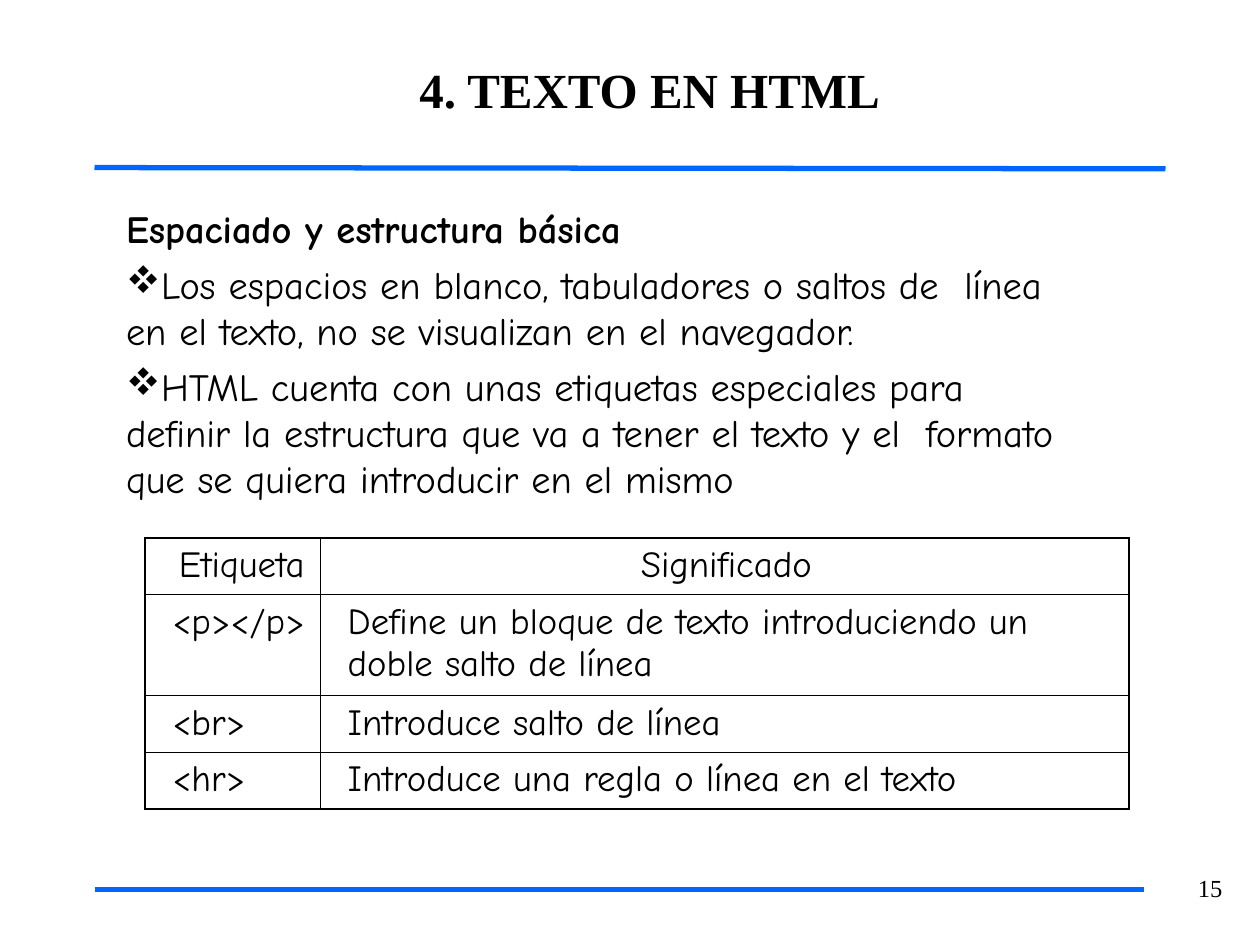
"""Build the slide on text spacing and basic structure in HTML."""
import pptx
import pptx.dml.color
import pptx.enum.shapes
import pptx.enum.text
import pptx.oxml
import pptx.oxml.ns
import pptx.util
from lxml import etree
from pptx.util import Inches

BLACK = pptx.dml.color.RGBColor(0x00, 0x00, 0x00)
BLUE = pptx.dml.color.RGBColor(0x00, 0x66, 0xFF)
ALIGN = pptx.enum.text.PP_ALIGN
qn = pptx.oxml.ns.qn


def write(para, text, name, size, bold=False, align=ALIGN.LEFT):
    para.alignment = align
    span = para.add_run()
    span.text = text
    formats = {"name": name, "size": pptx.util.Pt(size), "bold": bold}
    for key, value in formats.items():
        setattr(span.font, key, value)
    span.font.color.rgb = BLACK


def set_frame(frame, **margins):
    formats = {"word_wrap": True, "vertical_anchor": pptx.enum.text.MSO_ANCHOR.TOP,
               "auto_size": pptx.enum.text.MSO_AUTO_SIZE.SHAPE_TO_FIT_TEXT}
    for key, value in formats.items():
        setattr(frame, key, value)
    for key, value in margins.items():
        setattr(frame, "margin_" + key, Inches(value))


deck = pptx.Presentation()
deck.slide_width, deck.slide_height = Inches(10), Inches(7.5)
page = deck.slides.add_slide(deck.slide_layouts[5])

rules = [(0.75, 1.33, 9.25, 1.34), (0.75, 7.06, 8.92, 7.06), (0.92, 7.06, 9.08, 7.06)]
for ends in rules:
    rule = page.shapes.add_connector(
        pptx.enum.shapes.MSO_CONNECTOR.STRAIGHT, *[Inches(end) for end in ends])
    rule.line.color.rgb = BLUE
    rule.line.width = pptx.util.Pt(3)
    etree.SubElement(rule._element.spPr, qn("a:effectLst"))

title = page.shapes.title
title_place = {"left": 0.43, "top": 0.42, "width": 9.45, "height": 0.57}
for key, value in title_place.items():
    setattr(title, key, Inches(value))
set_frame(title.text_frame, left=0.1, top=0.05, right=0.1, bottom=0.05)
write(title.text_frame.paragraphs[0], "4. TEXTO EN HTML", "Times New Roman", 28, True, ALIGN.CENTER)

number = page.shapes.add_textbox(Inches(9.36), Inches(6.9), Inches(0.44), Inches(0.32))
set_frame(number.text_frame, left=0.1, top=0.05, right=0.1, bottom=0.05)
number.text_frame.paragraphs[0].line_spacing = 0.93
write(number.text_frame.paragraphs[0], "15", "Times New Roman", 14, align=ALIGN.RIGHT)

body = page.shapes.add_textbox(Inches(0.98), Inches(1.55), Inches(7.59), Inches(2.44))
set_frame(body.text_frame, left=0, top=0.08, right=0, bottom=0)
heading = body.text_frame.paragraphs[0]
heading._p.get_or_add_pPr().set("marL", str(Inches(0.02)))
write(heading, "Espaciado y estructura básica", "Comic Neue", 22, True)
bullets = [
    "Los espacios en blanco, tabuladores o saltos de  línea en el texto, "
    "no se visualizan en el navegador.",
    "HTML cuenta con unas etiquetas especiales para  definir la estructura que va a tener "
    "el texto y el  formato que se quiera introducir en el mismo",
]
for text in bullets:
    para = body.text_frame.add_paragraph()
    para.space_before = pptx.util.Pt(5.4)
    properties = para._p.get_or_add_pPr()
    properties.set("marL", str(Inches(0.02)))
    properties.set("indent", "0")
    bullet_color = etree.SubElement(properties, qn("a:buClr"))
    etree.SubElement(bullet_color, qn("a:srgbClr"), val=str(BLACK))
    etree.SubElement(properties, qn("a:buFont"), typeface="Wingdings", charset="2")
    etree.SubElement(properties, qn("a:buChar"), char="v")
    write(para, text, "Comic Neue", 22)

rows = [
    ("Etiqueta", "Significado"),
    ("<p></p>", "Define un bloque de texto introduciendo un  doble salto de línea"),
    ("<br>", "Introduce salto de línea"),
    ("<hr>", "Introduce una regla o línea en el texto"),
]
row_heights = [0.45, 0.79, 0.45, 0.45]
column_widths = [1.39, 6.42]
table = page.shapes.add_table(
    len(rows), len(column_widths), Inches(1.15), Inches(4.27),
    Inches(sum(column_widths)), Inches(sum(row_heights))).table
table.first_row = table.horz_banding = False
for column, width in zip(table.columns, column_widths):
    column.width = Inches(width)
for row, height in zip(table.rows, row_heights):
    row.height = Inches(height)

header_indents = [0.17, 0.03]
last_row, last_column = len(rows) - 1, len(column_widths) - 1
for r, texts in enumerate(rows):
    for c, text in enumerate(texts):
        cell = table.cell(r, c)
        cell.margin_left = cell.margin_right = Inches(0.1)
        cell.margin_top = cell.margin_bottom = Inches(0.05)
        para = cell.text_frame.paragraphs[0]
        indent = header_indents[c] if r == 0 else 0.12
        para._p.get_or_add_pPr().set("marL", str(Inches(indent)))
        centered = r == 0 and c == last_column
        write(para, text, "Comic Neue", 21, align=ALIGN.CENTER if centered else ALIGN.LEFT)
        borders = {
            "a:lnL": 1.47 if c == 0 else 0.45,
            "a:lnR": 1.08 if c == last_column else 0.45,
            "a:lnT": 1.47 if r == 0 else 0.75,
            "a:lnB": 1.47 if r == last_row else 0.75,
        }
        for tag, width in borders.items():
            border = etree.SubElement(
                cell._tc.get_or_add_tcPr(), qn(tag), w=str(pptx.util.Pt(width)))
            border_fill = etree.SubElement(border, qn("a:solidFill"))
            etree.SubElement(border_fill, qn("a:srgbClr"), val=str(BLACK))
        cell.fill.background()

deck.save("out.pptx")
